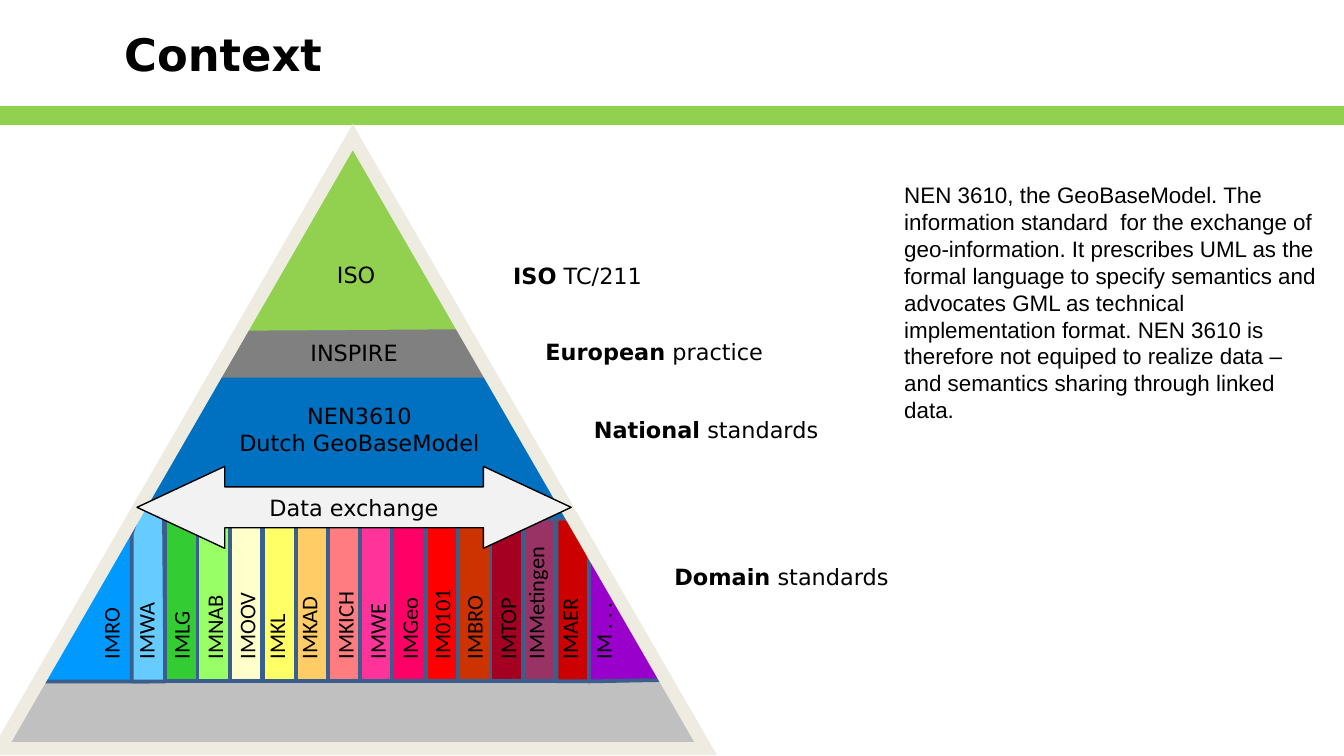
from pptx import Presentation
from pptx import util as u
from pptx.dml import color
from pptx.enum import shapes, text
from pptx.oxml import ns
from lxml import etree

PX = 9144
SANS = "DejaVu Sans"
EDGE = "3A5F8C"
CENTER = text.PP_ALIGN.CENTER
MIDDLE = text.MSO_ANCHOR.MIDDLE

LAYERS = [
    ("C0C0C0", [(6, 454), (262, 0), (524, 454)]),
    ("0070C0", [(104, 277), (262, 5), (426, 283)]),
    ("808080", [(158, 179), (263, 19), (366, 179)]),
    ("92D050", [(262, 5), (183, 144), (346, 143)]),
]
LAYER_LABELS = [
    ((239, 87, 52, 30), ["ISO"]),
    ((218, 145, 91, 30), ["INSPIRE"]),
    ((168, 192, 199, 50), ["NEN3610", "Dutch GeoBaseModel"]),
]
SLANTED_DOMAINS = [
    ("0099FF", [(111, 405), (104, 277), (31, 405)]),
    ("66CCFF", [(104, 277), (98, 295), (98, 405), (123, 405), (122, 277)]),
    ("9900CC", [(438, 307), (492, 404), (438, 405)]),
    ("CC0000", [(426, 284), (438, 307), (438, 405), (414, 405), (414, 284)]),
]
BAR_COLORS = [
    "33CC33", "99FF66", "FFFFCC", "FFFF66", "FFCC66", "FF7C80",
    "FF3399", "FF0066", "FF0000", "CC3300", "A50021", "993366",
]
DOMAIN_LABELS = [
    ("IMRO", 83), ("IMWA", 109), ("IMLG", 135), ("IMNAB", 160),
    ("IMOOV", 184), ("IMKL", 206), ("IMKAD", 230), ("IMKICH", 257),
    ("IMWE", 281), ("IMGeo", 305), ("IM0101", 329), ("IMBRO", 353),
    ("IMTOP", 378), ("IMMetingen", 399), ("IMAER", 424), ("IM . . .", 449),
]
CAPTIONS = [
    ((372, 190, 263, 30), "ISO", " TC/211"),
    ((396, 247, 225, 30), "European", " practice"),
    ((432, 305, 225, 30), "National", " standards"),
    ((492, 414, 216, 30), "Domain", " standards"),
]
SUMMARY = (
    "NEN 3610, the GeoBaseModel. The information standard  for the exchange of "
    "geo-information. It prescribes UML as the formal language to specify "
    "semantics and advocates GML as technical implementation format. NEN 3610 is "
    "therefore not equiped to realize data – and semantics sharing through "
    "linked data."
)


def rgb(value):
    """Turn a hex string into a colour."""
    return color.RGBColor.from_string(value)


def emu(box):
    """Turn pixel lengths into EMU."""
    return [round(length * PX) for length in box]


def within(origin, box):
    """Shift a box by the corner of its region."""
    return (origin[0] + box[0], origin[1] + box[1], *box[2:])


def paint(shape, fill=None, line=None, width=2):
    """Set the fill and outline of a shape and drop its shadow."""
    shape.shadow.inherit = False
    if fill:
        shape.fill.solid()
        shape.fill.fore_color.rgb = rgb(fill)
    else:
        shape.fill.background()
    if line:
        shape.line.color.rgb = rgb(line)
        shape.line.width = u.Pt(width)
    else:
        shape.line.fill.background()


def write(frame, lines, align=None, anchor=None, wrap=True, **font):
    """Fill a text frame with lines, each a list of (words, bold) spans."""
    settings = {"auto_size": text.MSO_AUTO_SIZE.NONE, "word_wrap": wrap,
                "vertical_anchor": anchor}
    for name, value in settings.items():
        setattr(frame, name, value)
    look = {"name": SANS, "size": u.Pt(12)} | font
    for number, spans in enumerate(lines):
        para = frame.add_paragraph() if number else frame.paragraphs[0]
        para.alignment = align
        for words, bold in spans:
            span = para.add_run()
            span.text = words
            for name, value in (look | {"bold": bold}).items():
                setattr(span.font, name, value)
            span.font.color.rgb = rgb("000000")


def add_text(page, box, lines, **style):
    """Add a text box and return it."""
    label = page.shapes.add_textbox(*emu(box))
    write(label.text_frame, lines, **style)
    return label


def add_preset(page, kind, box, **look):
    """Add a painted preset shape and return it."""
    shape = page.shapes.add_shape(kind, *emu(box))
    paint(shape, **look)
    return shape


def add_outline(page, origin, points, **look):
    """Add a closed painted polygon."""
    builder = page.shapes.build_freeform(*points[0], scale=PX)
    builder.add_line_segments(points[1:], close=True)
    paint(builder.convert_to_shape(*emu(origin)), **look)


def add_header(page, box):
    """Place the title above a green band."""
    left, top, width, height = box
    title = page.shapes.title
    places = emu((left + 23, top, 286, height - 13))
    for name, value in zip(("left", "top", "width", "height"), places):
        setattr(title, name, value)
    write(title.text_frame, [[("Context", True)]], align=CENTER,
          anchor=MIDDLE, size=u.Pt(24))
    add_preset(page, shapes.MSO_SHAPE.RECTANGLE,
               (left, top + height - 12, width, 12),
               fill="92D050", line="92D050")


def add_domains(page, origin):
    """Place the coloured domain strips and their upright labels."""
    for fill, points in SLANTED_DOMAINS:
        add_outline(page, origin, points, fill=fill, line=EDGE)
    for number, fill in enumerate(BAR_COLORS):
        top = 273 if number < 9 else 284
        box = (round(123 + 24.2 * number), top, 24, 405 - top)
        add_preset(page, shapes.MSO_SHAPE.RECTANGLE, within(origin, box),
                   fill=fill, line=EDGE)
    for name, center in DOMAIN_LABELS:
        box = within(origin, (center - 61, 322, 122, 31))
        label = add_text(page, box, [[(name, False)]], name="Calibri")
        label.rotation = 270


def add_pyramid(page, box):
    """Place the layered pyramid with its frame and exchange arrow."""
    origin = box[:2]
    for fill, points in LAYERS:
        add_outline(page, origin, points, fill=fill)
    add_domains(page, origin)
    for place, lines in LAYER_LABELS:
        add_text(page, within(origin, place), [[(line, False)] for line in lines],
                 align=CENTER, anchor=MIDDLE, wrap=False)
    frame = add_preset(page, shapes.MSO_SHAPE.ISOSCELES_TRIANGLE, box,
                       line="EEECE1", width=7)
    outline = frame._element.spPr.find(ns.qn("a:ln"))
    etree.SubElement(outline, ns.qn("a:miter"), lim="800000")
    arrow = add_preset(page, shapes.MSO_SHAPE.LEFT_RIGHT_ARROW,
                       within(origin, (102, 245, 323, 61)),
                       fill="F2F2F2", line="000000", width=0.75)
    arrow.adjustments[1] = 1.07
    write(arrow.text_frame, [[("Data exchange", False)]],
          align=CENTER, anchor=MIDDLE)


def add_captions(page, origin):
    """Place the captions beside the pyramid layers."""
    for place, lead, rest in CAPTIONS:
        add_text(page, within(origin, place), [[(lead, True), (rest, False)]])


def main():
    """Build the slide and save the deck."""
    deck = Presentation()
    deck.slide_width = 1000 * PX
    deck.slide_height = deck.slide_width * 9 // 16
    page = deck.slides.add_slide(deck.slide_layouts[5])
    add_header(page, (0, 0, 1000, 92))
    add_text(page, (663, 130, 333, 172), [[(SUMMARY, False)]], name="Arial")
    add_captions(page, (0, 0))
    add_pyramid(page, (0, 102, 525, 455))
    deck.save("out.pptx")


if __name__ == "__main__":
    main()
